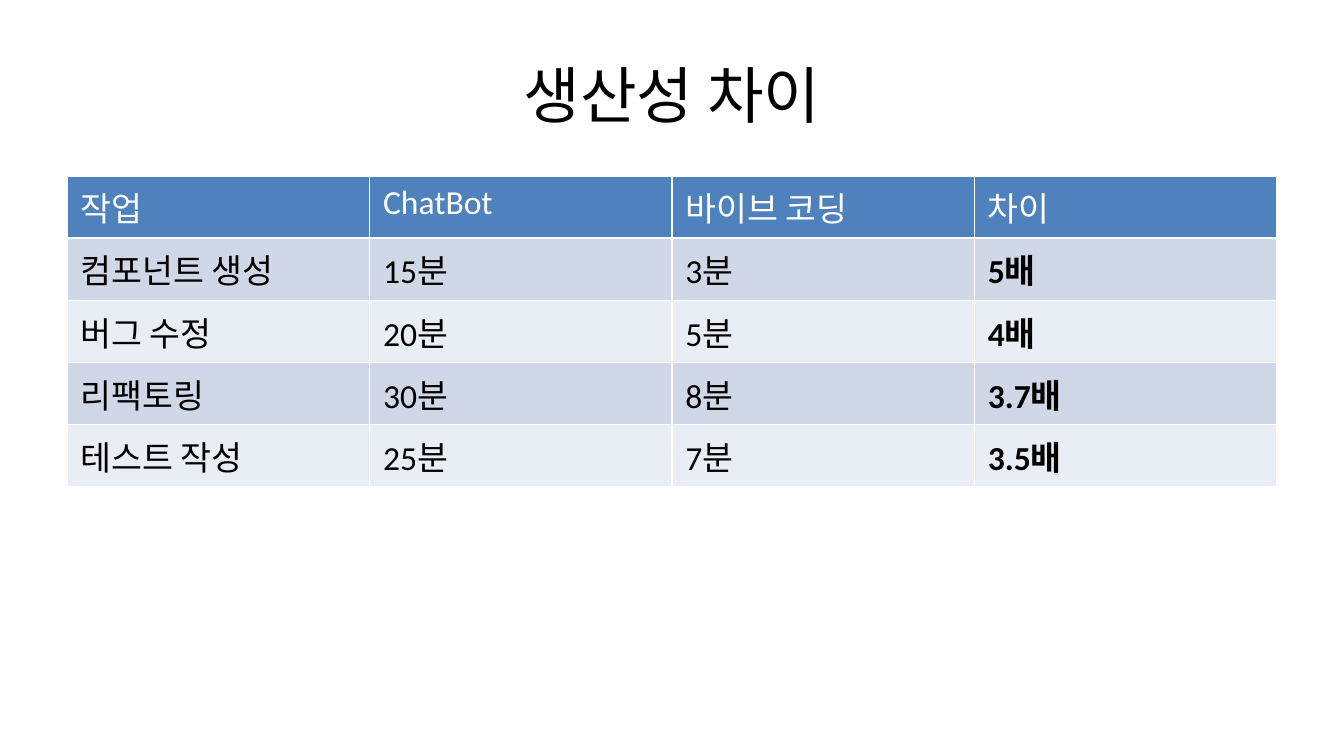
"""Build a one-page deck that compares task times in a table."""
import dataclasses

import pptx
import pptx.dml.color
import pptx.enum.text
import pptx.util

Cm = pptx.util.Cm


@dataclasses.dataclass(frozen=True)
class Theme:
    font: str = "Calibri"
    title_size: int = 33
    table_size: int = 18
    text: str = "000000"
    header_text: str = "FFFFFF"
    header_fill: str = "4F81BD"
    band_fills: tuple = ("D0D8E8", "E9EDF4")


THEME = Theme()
TITLE = "생산성 차이"
HEADERS = ("작업", "ChatBot", "바이브 코딩", "차이")
TASKS = (
    ("컴포넌트 생성", "15분", "3분", "5배"),
    ("버그 수정", "20분", "5분", "4배"),
    ("리팩토링", "30분", "8분", "3.7배"),
    ("테스트 작성", "25분", "7분", "3.5배"),
)
MARGIN = Cm(1.27)
CONTENT_WIDTH = Cm(22.86)
ROW_HEIGHT = Cm(1.17)


def color(value):
    return pptx.dml.color.RGBColor.from_string(value)


def add_span(para, text, size, text_color, bold=False):
    span = para.add_run()
    span.text = text
    span.font.name = THEME.font
    span.font.size = pptx.util.Pt(size)
    span.font.bold = bold
    span.font.color.rgb = color(text_color)


def add_title(page, text):
    box = page.shapes.title
    box.left, box.top = MARGIN, Cm(0.58)
    box.width, box.height = CONTENT_WIDTH, Cm(2.38)
    box.text_frame.vertical_anchor = pptx.enum.text.MSO_ANCHOR.MIDDLE
    para = box.text_frame.paragraphs[0]
    para.alignment = pptx.enum.text.PP_ALIGN.CENTER
    add_span(para, text, THEME.title_size, THEME.text)


def fill_cell(cell, text, fill, text_color, bold=False):
    cell.fill.solid()
    cell.fill.fore_color.rgb = color(fill)
    add_span(cell.text_frame.paragraphs[0], text, THEME.table_size, text_color, bold)


def add_comparison_table(page, headers, tasks):
    row_count = len(tasks) + 1
    table = page.shapes.add_table(
        row_count, len(headers), MARGIN, Cm(3.33), CONTENT_WIDTH, ROW_HEIGHT * row_count
    ).table
    for column, header in enumerate(headers):
        fill_cell(table.cell(0, column), header, THEME.header_fill, THEME.header_text)
    for row, task in enumerate(tasks):
        fill = THEME.band_fills[row % len(THEME.band_fills)]
        for column, text in enumerate(task):
            is_difference = column == len(headers) - 1
            fill_cell(table.cell(row + 1, column), text, fill, THEME.text, is_difference)


def main():
    deck = pptx.Presentation()
    deck.slide_width, deck.slide_height = Cm(25.4), Cm(14.29)
    page = deck.slides.add_slide(deck.slide_layouts.get_by_name("Title Only"))
    add_title(page, TITLE)
    add_comparison_table(page, HEADERS, TASKS)
    deck.save("out.pptx")


if __name__ == "__main__":
    main()
